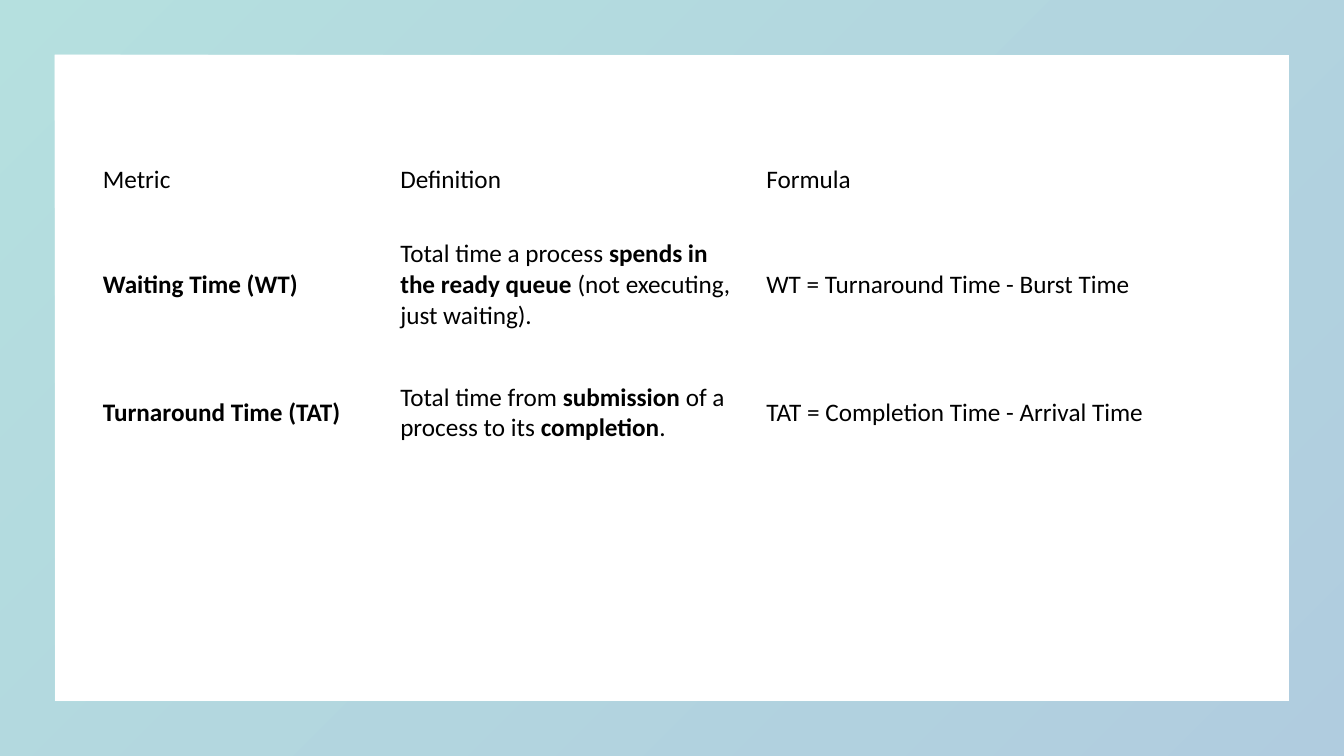
from lxml import etree
from pptx import Presentation
from pptx import util as u
from pptx.dml.color import RGBColor
from pptx.enum import shapes, text
from pptx.oxml.ns import qn

WIDE, HIGH = 13.33, 7.5
EDGE = 0.072
TINTS = ["46B2B1", "3B81B1"]
OPAQUE = 40
LEFT, TOP = 0.92, 1.48
COLS = [2.95, 3.63, 4.92]
ROWS = [0.6, 1.49, 1.05]
CELLS = [
    [[("Metric", False)], [("Definition", False)], [("Formula", False)]],
    [
        [("Waiting Time (WT)", True)],
        [("Total time a process ", False), ("spends in the ready queue", True),
         (" (not executing, just waiting).", False)],
        [("WT = Turnaround Time - Burst Time", False)],
    ],
    [
        [("Turnaround Time (TAT)", True)],
        [("Total time from ", False), ("submission", True),
         (" of a process to its ", False), ("completion", True), (".", False)],
        [("TAT = Completion Time - Arrival Time", False)],
    ],
]


def paint(color, tint):
    color.rgb = RGBColor.from_string(tint)


def add_frame(slide):
    frame = slide.shapes.add_shape(
        shapes.MSO_SHAPE.FRAME, 0, 0, u.Inches(WIDE), u.Inches(HIGH))
    frame.adjustments[0] = EDGE
    frame.shadow.inherit = False
    frame.line.fill.background()
    frame.fill.gradient()
    frame.fill.gradient_angle = 315
    for stop, tint in zip(frame.fill.gradient_stops, TINTS):
        paint(stop.color, tint)
    for color in frame.element.spPr.iter(qn("a:srgbClr")):
        etree.SubElement(color, qn("a:alpha")).set("val", str(OPAQUE * 1000))


def fill_cell(cell, runs):
    cell.fill.background()
    cell.vertical_anchor = text.MSO_ANCHOR.MIDDLE
    para = cell.text_frame.paragraphs[0]
    for words, bold in runs:
        run = para.add_run()
        run.text = words
        run.font.name = "Calibri"
        run.font.size = u.Pt(18)
        run.font.bold = bold
        paint(run.font.color, "000000")


def add_grid(slide):
    grid = slide.shapes.add_table(
        len(ROWS), len(COLS), u.Inches(LEFT), u.Inches(TOP),
        u.Inches(sum(COLS)), u.Inches(sum(ROWS))).table
    grid.first_row = grid.horz_banding = False
    for col, wide in zip(grid.columns, COLS):
        col.width = u.Inches(wide)
    for row, high, cells in zip(grid.rows, ROWS, CELLS):
        row.height = u.Inches(high)
        for cell, runs in zip(row.cells, cells):
            fill_cell(cell, runs)


def main():
    """Build the slide that defines waiting and turnaround time."""
    deck = Presentation()
    deck.slide_width, deck.slide_height = u.Inches(WIDE), u.Inches(HIGH)
    slide = deck.slides.add_slide(deck.slide_layouts[6])
    add_frame(slide)
    add_grid(slide)
    deck.save("out.pptx")


if __name__ == "__main__":
    main()
